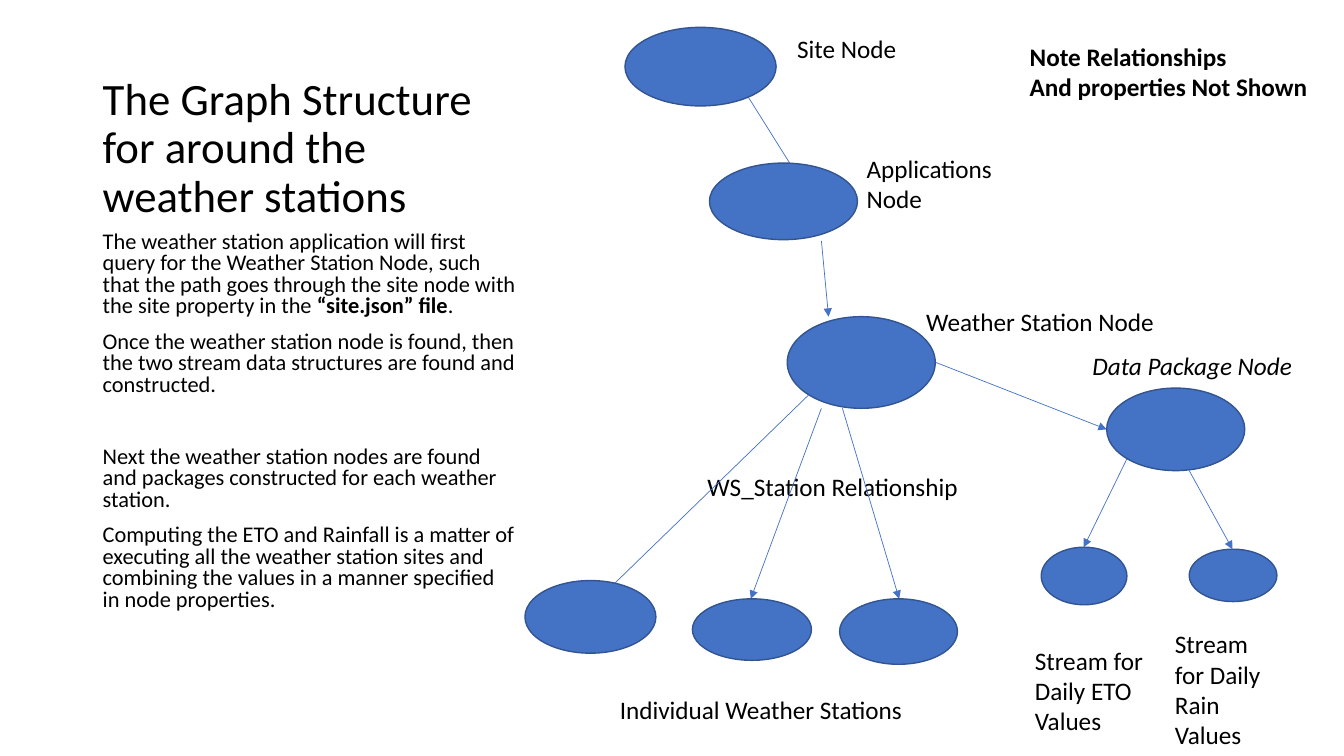
from dataclasses import dataclass

import pptx
import pptx.dml.color
import pptx.enum.shapes
import pptx.enum.text
import pptx.util
from lxml import etree
from pptx.oxml.ns import qn

Cm, Pt = pptx.util.Cm, pptx.util.Pt
FONT = "Calibri"
BLACK, BLUE, DARK_BLUE = "000000", "4472C4", "325491"


@dataclass
class Box:
    left: float
    top: float
    width: float
    height: float

    def lengths(self):
        return [Cm(v) for v in (self.left, self.top, self.width, self.height)]


@dataclass
class Label:
    box: Box
    lines: list[str]
    wrap: bool = False
    bold: bool = False
    italic: bool = False


@dataclass
class Arrow:
    x1: float
    y1: float
    x2: float
    y2: float


@dataclass
class BodyParagraph:
    runs: list[tuple[str, bool]]  # text, bold
    space_before: float = 10


TITLE = "The Graph Structure for around the weather stations"

BODY = [
    BodyParagraph([
        ("The weather station application will first query for the Weather Station Node, "
         "such that the path goes through the site node with the site property in the ", False),
        ("“site.json” file", True),
        (".", False),
    ], 0),
    BodyParagraph([("Once the weather station node is found, then the two stream data "
                    "structures are found and constructed.", False)]),
    BodyParagraph([("Next the weather station nodes are found and packages constructed "
                    "for each weather station.", False)], 36),
    BodyParagraph([("Computing the ETO and Rainfall is a matter of executing all the weather "
                    "station sites and combining the values in a manner specified in node "
                    "properties.", False)]),
]

LABELS = [
    Label(Box(19.84, 0.71, 3.05, 1.02), ["Site Node"]),
    Label(Box(21.59, 3.73, 3.73, 1.8), ["Applications Node"], wrap=True),
    Label(Box(23.09, 7.59, 6.32, 1.02), ["Weather Station Node"]),
    Label(Box(27.28, 8.71, 5.59, 1.02), ["Data Package Node"], italic=True),
    Label(Box(17.58, 11.76, 6.88, 1.02), ["WS_Station Relationship"]),
    Label(Box(15.37, 17.37, 7.72, 1.02), ["Individual Weather Stations"]),
    Label(Box(25.83, 16.13, 3.28, 2.57), ["Stream for", "Daily ETO", "Values"]),
    Label(Box(29.36, 15.72, 2.82, 3.33), ["Stream for Daily", "Rain Values"], wrap=True),
    Label(Box(25.7, 0.91, 7.57, 1.8), ["Note Relationships", "And properties Not Shown"],
          bold=True),
]

ARROWS = [
    Arrow(18.69, 2.18, 20.19, 4.57),    # site to applications
    Arrow(20.7, 6.07, 20.88, 7.98),     # applications to weather station
    Arrow(23.55, 9.12, 27.89, 10.82),   # weather station to data package
    Arrow(20.37, 9.96, 15.14, 15.04),   # weather station to each station
    Arrow(20.7, 10.29, 18.92, 15.09),
    Arrow(21.23, 10.29, 22.66, 15.09),
    Arrow(28.4, 11.56, 27.31, 13.79),   # data package to each stream
    Arrow(29.97, 11.86, 31.06, 13.84),
]

NODES = [
    Box(15.75, 0.69, 3.81, 1.98),    # site
    Box(17.88, 4.11, 3.73, 1.93),    # applications
    Box(19.84, 7.98, 3.73, 2.31),    # weather station
    Box(27.89, 9.78, 3.48, 2.08),    # data package
    Box(13.23, 14.63, 3.3, 1.83),    # individual stations
    Box(17.45, 15.09, 3, 1.55),
    Box(21.16, 15.09, 2.97, 1.65),
    Box(26.24, 13.79, 2.16, 1.45),   # ETO and rain streams
    Box(29.97, 13.84, 2.21, 1.32),
]


def color(value: str):
    return pptx.dml.color.RGBColor.from_string(value)


def style(p, size: float) -> None:
    p.font.name = FONT
    p.font.size = Pt(size)
    p.font.color.rgb = color(BLACK)


def add_text_frame(s, box: Box, wrap: bool = True):
    tf = s.shapes.add_textbox(*box.lengths()).text_frame
    tf.word_wrap = wrap
    return tf


def add_title(s) -> None:
    tf = add_text_frame(s, Box(2.34, 1.27, 10.92, 4.45))
    tf.vertical_anchor = pptx.enum.text.MSO_ANCHOR.BOTTOM
    p = tf.paragraphs[0]
    p.text = TITLE
    p.line_spacing = 0.9
    style(p, 32)


def add_body(s) -> None:
    tf = add_text_frame(s, Box(2.34, 5.72, 10.92, 10.59))
    for i, paragraph in enumerate(BODY):
        p = tf.add_paragraph() if i else tf.paragraphs[0]
        p.line_spacing = 0.8
        p.space_before = Pt(paragraph.space_before)
        style(p, 16)
        for text, bold in paragraph.runs:
            r = p.add_run()
            r.text = text
            r.font.bold = bold


def add_label(s, label: Label) -> None:
    tf = add_text_frame(s, label.box, label.wrap)
    tf.text = "\n".join(label.lines)
    for p in tf.paragraphs:
        style(p, 18)
        p.font.bold = label.bold
        p.font.italic = label.italic


def add_arrow(s, arrow: Arrow) -> None:
    ends = [Cm(v) for v in (arrow.x1, arrow.y1, arrow.x2, arrow.y2)]
    cxn = s.shapes.add_connector(pptx.enum.shapes.MSO_CONNECTOR.STRAIGHT, *ends)
    cxn.line.color.rgb = color(BLUE)
    cxn.line.width = Pt(0.5)
    sp_pr = cxn._element.spPr
    etree.SubElement(sp_pr.find(qn("a:ln")), qn("a:tailEnd"), type="triangle")
    etree.SubElement(sp_pr, qn("a:effectLst"))


def add_node(s, box: Box) -> None:
    sp = s.shapes.add_shape(pptx.enum.shapes.MSO_SHAPE.OVAL, *box.lengths())
    sp.shadow.inherit = False
    sp.fill.solid()
    sp.fill.fore_color.rgb = color(BLUE)
    sp.line.color.rgb = color(DARK_BLUE)
    sp.line.width = Pt(1)


def main() -> None:
    prs = pptx.Presentation()
    prs.slide_width, prs.slide_height = Cm(33.87), Cm(19.05)
    s = prs.slides.add_slide(prs.slide_layouts[6])
    add_title(s)
    add_body(s)
    for label in LABELS:
        add_label(s, label)
    for arrow in ARROWS:
        add_arrow(s, arrow)
    for node in NODES:
        add_node(s, node)
    prs.save("out.pptx")


if __name__ == "__main__":
    main()
